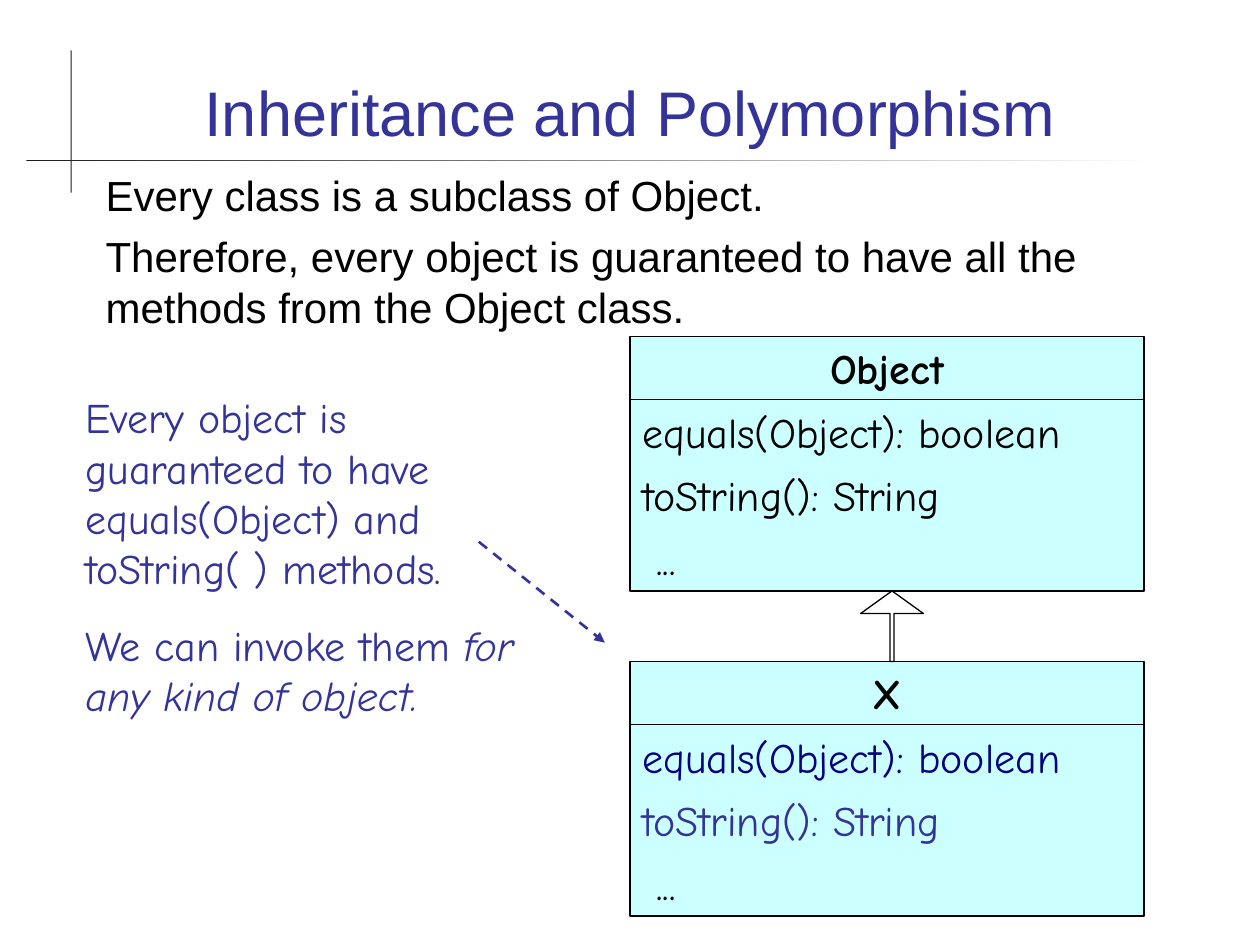
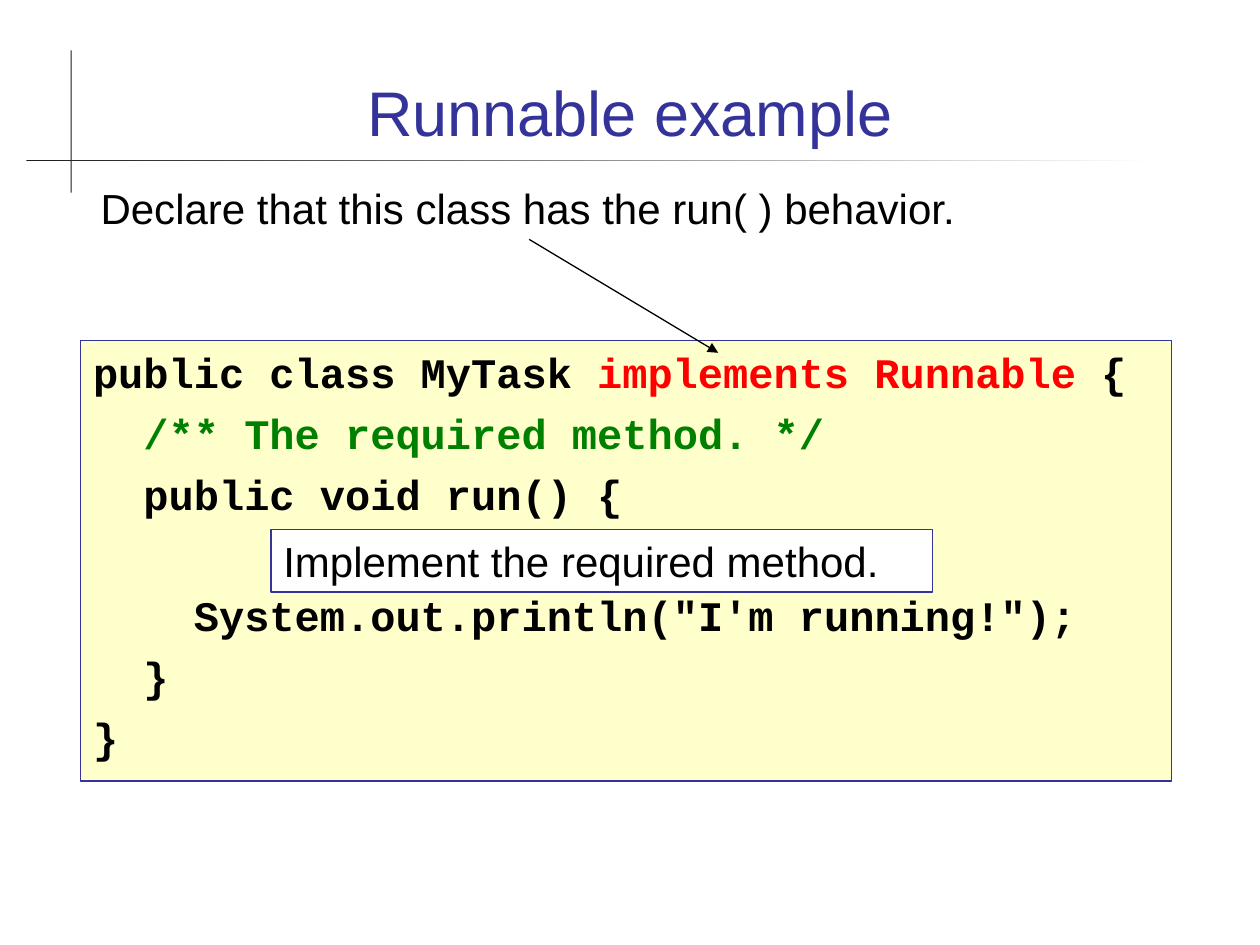
"""Build two slides on Java inheritance and the Runnable interface."""
from lxml import etree
from pptx import Presentation
from pptx.dml.color import RGBColor
from pptx.enum.dml import MSO_LINE
from pptx.enum.shapes import MSO_CONNECTOR, MSO_SHAPE
from pptx.enum.text import MSO_ANCHOR, MSO_AUTO_SIZE, PP_ALIGN
from pptx.oxml.ns import qn
from pptx.util import Inches, Pt

RECTANGLE, UP_ARROW = MSO_SHAPE.RECTANGLE, MSO_SHAPE.UP_ARROW
STRAIGHT, DASH = MSO_CONNECTOR.STRAIGHT, MSO_LINE.DASH
TOP, BOTTOM = MSO_ANCHOR.TOP, MSO_ANCHOR.BOTTOM
LEFT, CENTER = PP_ALIGN.LEFT, PP_ALIGN.CENTER
NO_FIT = MSO_AUTO_SIZE.NONE

BLACK = RGBColor(0x00, 0x00, 0x00)
WHITE = RGBColor(0xFF, 0xFF, 0xFF)
CHARCOAL = RGBColor(0x1C, 0x1C, 0x1C)
INDIGO = RGBColor(0x33, 0x33, 0x99)
NAVY = RGBColor(0x00, 0x00, 0x80)
CYAN = RGBColor(0xCC, 0xFF, 0xFF)
CREAM = RGBColor(0xFF, 0xFF, 0xCC)
RED = RGBColor(0xFF, 0x00, 0x00)
GREEN = RGBColor(0x00, 0x80, 0x00)
SANS, HAND, CODE = "Arial", "Comic Neue", "Courier New"
TEXT_SIZE, LINE_PITCH = Pt(24), Pt(28.8)


def add_box(slide, place, paragraphs=(), font=SANS, gap=6, fill=None,
            line=None, width=0.75, preset=RECTANGLE):
    """Add a shape; each paragraph is a list of (text, colour, bold, italic)."""
    box = slide.shapes.add_shape(preset, *map(Inches, place))
    box.shadow.inherit = False
    if fill is None:
        box.fill.background()
    else:
        box.fill.solid()
        box.fill.fore_color.rgb = fill
    if line is None:
        box.line.fill.background()
    else:
        box.line.color.rgb = line
        box.line.width = Pt(width)
    frame = box.text_frame
    frame.word_wrap = True
    frame.auto_size = NO_FIT
    frame.vertical_anchor = TOP
    for index, runs in enumerate(paragraphs):
        para = frame.add_paragraph() if index else frame.paragraphs[0]
        para.alignment = LEFT
        para.line_spacing = LINE_PITCH
        para.space_before = Pt(gap if index else 0)
        for text, colour, bold, italic in runs:
            span = para.add_run()
            span.text = text
            span.font.name = font
            span.font.size = TEXT_SIZE
            span.font.color.rgb = colour
            span.font.bold = bold
            span.font.italic = italic
    return box


def add_line(slide, start, end, colour=BLACK, width=0.75, arrow=False):
    """Add a straight line, with an arrowhead at its end if asked."""
    line = slide.shapes.add_connector(STRAIGHT, *map(Inches, start + end))
    line.line.color.rgb = colour
    line.line.width = Pt(width)
    if arrow:
        outline = line.line._get_or_add_ln()
        etree.SubElement(outline, qn("a:tailEnd"), type="triangle")
    etree.SubElement(line._element.spPr, qn("a:effectLst"))
    return line


deck = Presentation()
deck.slide_width, deck.slide_height = Inches(10), Inches(7.5)
slides = []
for heading in ("Inheritance and Polymorphism", "Runnable example"):
    page = deck.slides.add_slide(deck.slide_layouts[5])
    add_box(page, (0.56, 0.4, 0.01, 1.13), fill=CHARCOAL)
    rule = add_box(page, (0.21, 1.27, 8.98, 0.01))
    rule.fill.gradient()
    rule.fill.gradient_angle = 0
    for stop, colour in zip(rule.fill.gradient_stops, (CHARCOAL, WHITE)):
        stop.color.rgb = colour
    title = page.shapes.title
    title.left, title.top = Inches(0.67), Inches(0.28)
    title.width, title.height = Inches(8.66), Inches(0.95)
    title.text_frame.auto_size = NO_FIT
    title.text_frame.vertical_anchor = BOTTOM
    para = title.text_frame.paragraphs[0]
    para.alignment = CENTER
    span = para.add_run()
    span.text = heading
    span.font.name = SANS
    span.font.size = Pt(36)
    span.font.color.rgb = INDIGO
    slides.append(page)
inheritance, runnable = slides

add_box(inheritance, (0.74, 1.3, 8.66, 1.64), [
    [("Every class is a subclass of Object.", BLACK, False, False)],
    [("Therefore, every object is guaranteed to have all the methods "
      "from the Object class.", BLACK, False, False)],
])
add_box(inheritance, (0.58, 3.06, 3.92, 2.65), [
    [("Every object is guaranteed to have equals(Object) and "
      "toString( ) methods.", INDIGO, False, False)],
    [("We can invoke them ", INDIGO, False, False),
     ("for any kind of object.", INDIGO, False, True)],
], font=HAND, gap=15)
for name, top, equals_colour, string_colour in (
        ("Object", 2.67, BLACK, BLACK), ("X", 5.25, NAVY, INDIGO)):
    class_box = add_box(inheritance, (5, top, 4.08, 2.02), [
        [(name, BLACK, True, False)],
        [("equals(Object): boolean", equals_colour, False, False)],
        [("toString(): String", string_colour, False, False)],
        [(" ...", BLACK, False, False)],
    ], font=HAND, gap=7.5, fill=CYAN, line=BLACK, width=1)
    class_box.text_frame.paragraphs[0].alignment = CENTER
    add_line(inheritance, (5, top + 0.5), (9.08, top + 0.5))
pointer = add_line(inheritance, (3.8, 4.3), (4.8, 5.1), INDIGO, 1.5, arrow=True)
pointer.line.dash_style = DASH
extends_arrow = add_box(inheritance, (6.83, 4.69, 0.5, 0.56), fill=WHITE,
                        line=BLACK, preset=UP_ARROW)
extends_arrow.adjustments[0] = 0.06
extends_arrow.adjustments[1] = 0.36

code_box = add_box(runnable, (0.64, 2.7, 8.66, 3.5), [
    [("public class MyTask ", BLACK, True, False),
     ("implements Runnable ", RED, True, False), ("{", BLACK, True, False)],
    [("  /** The required method. */", GREEN, True, False)],
    [("  public void run() {", BLACK, True, False)],
    [("    System.out.println(\"I'm running!\");", BLACK, True, False)],
    [("  }", BLACK, True, False)],
    [("}", BLACK, True, False)],
], font=CODE, fill=CREAM, line=INDIGO)
code_box.text_frame.paragraphs[3].space_before = LINE_PITCH + Pt(12)
add_box(runnable, (0.7, 1.4, 8.7, 0.5), [
    [("Declare that this class has the run( ) behavior.", BLACK, False, False)],
], fill=WHITE)
add_line(runnable, (4.2, 1.9), (5.7, 2.8), arrow=True)
add_box(runnable, (2.15, 4.2, 5.25, 0.5), [
    [("Implement the required method.", BLACK, False, False)],
], fill=WHITE, line=INDIGO)

deck.save("out.pptx")
